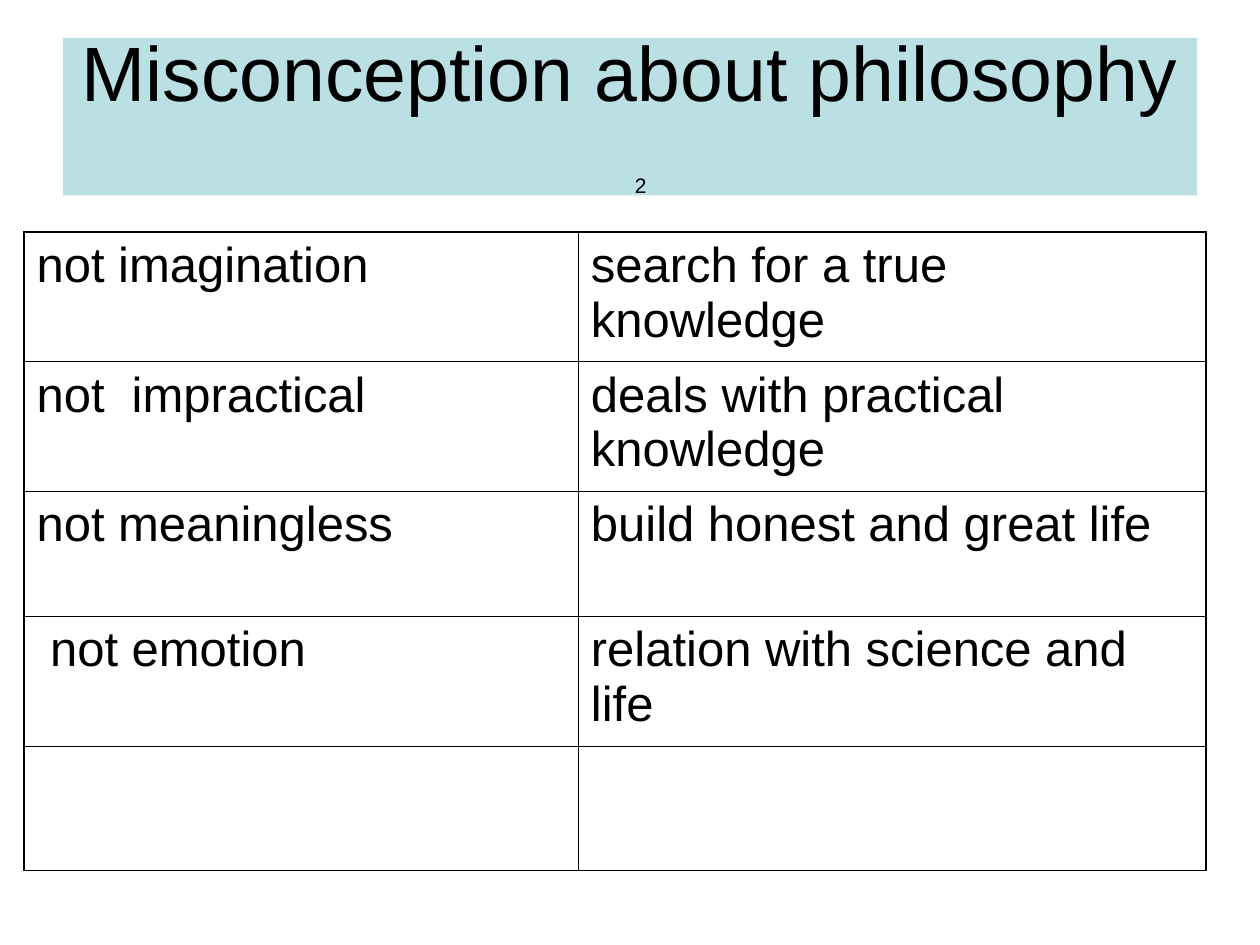
from lxml.etree import SubElement
from pptx import Presentation
from pptx.dml.color import RGBColor
from pptx.enum.shapes import MSO_SHAPE
from pptx.enum.text import MSO_ANCHOR, PP_ALIGN
from pptx.oxml.ns import qn
from pptx.util import Inches, Pt

COLORS = {"text": "000000", "band": "BBE0E3", "line": "000000"}
THIN, THICK = 0.45, 1.08
ROWS = [
    ("not imagination", "search for a true  knowledge"),
    ("not  impractical", "deals with practical knowledge"),
    ("not meaningless", "build honest and great life"),
    (" not emotion", "relation with science and life"),
    ("", ""),
]
WIDTHS = [4.4, 4.98]
HEIGHTS = [1.03, 1.03, 0.99, 1.03, 0.99]


class Deck:
    def __init__(self, font):
        self.font = font
        self.prs = Presentation()
        self.prs.slide_width, self.prs.slide_height = Inches(10), Inches(7.5)
        self.slide = self.prs.slides.add_slide(self.prs.slide_layouts[6])

    def run(self, para, text, size):
        run = para.add_run()
        run.text = text
        run.font.name, run.font.size = self.font, Pt(size)
        run.font.color.rgb = RGBColor.from_string(COLORS["text"])

    def title(self, text, number, box):
        shape = self.slide.shapes.add_shape(
            MSO_SHAPE.RECTANGLE, *map(Inches, box))
        shape.shadow.inherit = False
        shape.fill.solid()
        shape.fill.fore_color.rgb = RGBColor.from_string(COLORS["band"])
        shape.line.fill.background()
        frame = shape.text_frame
        frame.word_wrap = True
        frame.vertical_anchor = MSO_ANCHOR.MIDDLE
        para = frame.paragraphs[0]
        para.alignment = PP_ALIGN.CENTER
        self.run(para, text, 44)
        para.add_line_break()
        self.run(para, " ", 44)
        self.run(para, number, 12)

    def border(self, cell, side, width):
        """Draw one side (L, R, T or B) of a cell."""
        props = cell._tc.get_or_add_tcPr()
        line = SubElement(props, qn(f"a:ln{side}"), w=str(Pt(width)))
        fill = SubElement(line, qn("a:solidFill"))
        SubElement(fill, qn("a:srgbClr"), val=COLORS["line"])

    def table(self, rows, widths, heights, left, top):
        count, span = len(rows), len(widths)
        table = self.slide.shapes.add_table(
            count, span, Inches(left), Inches(top),
            Inches(sum(widths)), Inches(sum(heights))).table
        table.first_row = table.horz_banding = False
        for col, width in zip(table.columns, widths):
            col.width = Inches(width)
        for r, (row, height) in enumerate(zip(rows, heights)):
            table.rows[r].height = Inches(height)
            for c, text in enumerate(row):
                cell = table.cell(r, c)
                outer = {"L": c == 0, "R": c == span - 1,
                         "T": r == 0, "B": r == count - 1}
                for side, edge in outer.items():
                    self.border(cell, side, THICK if edge else THIN)
                cell.fill.background()
                if text:
                    self.run(cell.text_frame.paragraphs[0], text, 28)


def main():
    deck = Deck("Arial")
    deck.title("Misconception about philosophy", "2", (0.5, 0.3, 9, 1.25))
    deck.table(ROWS, WIDTHS, HEIGHTS, 0.19, 1.84)
    deck.prs.save("out.pptx")


if __name__ == "__main__":
    main()
